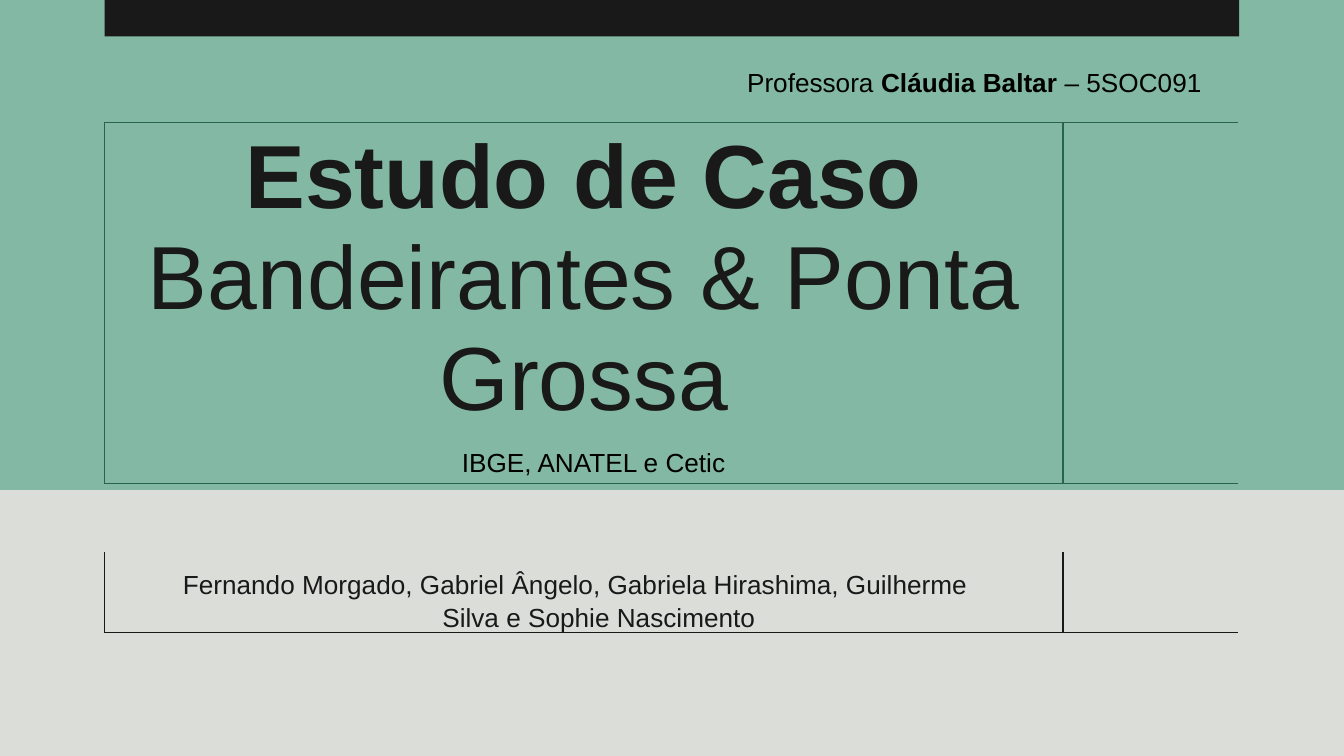
from dataclasses import dataclass

from lxml import etree
from pptx import Presentation
from pptx.dml.color import RGBColor
from pptx.enum.shapes import MSO_CONNECTOR, MSO_SHAPE
from pptx.enum.text import MSO_ANCHOR, PP_ALIGN
from pptx.oxml.ns import qn
from pptx.util import Cm, Pt

RECTANGLE = MSO_SHAPE.RECTANGLE
STRAIGHT = MSO_CONNECTOR.STRAIGHT
LEFT, CENTER = PP_ALIGN.LEFT, PP_ALIGN.CENTER
TOP, MIDDLE = MSO_ANCHOR.TOP, MSO_ANCHOR.MIDDLE

SLIDE_WIDTH, SLIDE_HEIGHT = 25.4, 14.29
FRAME_LEFT, FRAME_DIVIDER, FRAME_RIGHT = 1.98, 20.09, 23.4


@dataclass(frozen=True)
class Theme:
    """Colours, font and type sizes of the slide."""

    background: RGBColor = RGBColor(0xDB, 0xDD, 0xD9)
    panel: RGBColor = RGBColor(0x83, 0xB8, 0xA4)
    ink: RGBColor = RGBColor(0x19, 0x19, 0x19)
    black: RGBColor = RGBColor(0, 0, 0)
    green_line: RGBColor = RGBColor(0x26, 0x64, 0x4F)
    font: str = "Arial"
    title_size: int = 48
    body_size: int = 14
    line_width: float = 0.75


THEME = Theme()


def add_block(slide, left, top, width, height, color):
    """Add a plain filled rectangle."""
    shape = slide.shapes.add_shape(RECTANGLE, Cm(left), Cm(top), Cm(width), Cm(height))
    shape.shadow.inherit = False
    shape.fill.solid()
    shape.fill.fore_color.rgb = color
    shape.line.fill.background()


def add_frame(slide, top, bottom, color, has_top):
    """Add a group of lines forming a frame that is open on the right."""
    group = slide.shapes.add_group_shape()
    lines = [(FRAME_LEFT, y, FRAME_RIGHT, y) for y in ([top, bottom] if has_top else [bottom])]
    lines += [(x, top, x, bottom) for x in (FRAME_LEFT, FRAME_DIVIDER)]
    for ends in lines:
        connector = group.shapes.add_connector(STRAIGHT, *map(Cm, ends))
        connector.line.color.rgb = color
        connector.line.width = Pt(THEME.line_width)
        etree.SubElement(connector._element.spPr, qn("a:effectLst"))


def add_text(slide, box, runs, size, color, align=LEFT, anchor=TOP, inset=0.13, spacing=1.0):
    """Add a one-paragraph text box from (text, bold) runs and return the paragraph."""
    frame = slide.shapes.add_textbox(*map(Cm, box)).text_frame
    frame.word_wrap = True
    frame.vertical_anchor = anchor
    frame.margin_left = frame.margin_right = Cm(0.25)
    frame.margin_top = frame.margin_bottom = Cm(inset)
    paragraph = frame.paragraphs[0]
    paragraph.alignment = align
    paragraph.line_spacing = spacing
    paragraph.font.name = THEME.font
    paragraph.font.size = Pt(size)
    paragraph.font.color.rgb = color
    for text, bold in runs:
        run = paragraph.add_run()
        run.text = text
        run.font.bold = bold
    return paragraph


def set_hanging_indent(paragraph, margin, hanging):
    """Give a paragraph a left margin and a hanging first line."""
    properties = paragraph._p.get_or_add_pPr()
    properties.set("marL", str(Cm(margin)))
    properties.set("indent", str(-Cm(hanging)))


def main():
    """Build the title slide and save it."""
    presentation = Presentation()
    presentation.slide_width, presentation.slide_height = Cm(SLIDE_WIDTH), Cm(SLIDE_HEIGHT)
    slide = presentation.slides.add_slide(presentation.slide_layouts[6])
    slide.background.fill.solid()
    slide.background.fill.fore_color.rgb = THEME.background

    add_block(slide, 0, 0, SLIDE_WIDTH, 9.26, THEME.panel)
    add_block(slide, FRAME_LEFT, 0, 21.44, 0.69, THEME.ink)
    add_text(slide, (2.36, 2.26, 17.35, 6.05),
             [("Estudo de Caso ", True), ("Bandeirantes & Ponta Grossa", False)],
             THEME.title_size, THEME.ink, CENTER, MIDDLE, inset=0.25, spacing=0.94)
    add_frame(slide, 2.31, 9.14, THEME.green_line, has_top=True)
    authors = add_text(
        slide, (2.62, 10.46, 16.13, 1.47),
        [("Fernando Morgado, Gabriel Ângelo, Gabriela Hirashima, Guilherme Silva "
          "e Sophie Nascimento", False)],
        THEME.body_size, THEME.ink, CENTER, inset=0.25, spacing=1.06)
    set_hanging_indent(authors, 1.27, 0.89)
    add_frame(slide, 10.44, 11.96, THEME.ink, has_top=False)
    add_text(slide, (13.87, 1.12, 9.75, 0.86),
             [("Professora ", False), ("Cláudia Baltar ", True), ("– 5SOC091", False)],
             THEME.body_size, THEME.black)
    add_text(slide, (8.48, 8.31, 6.25, 0.86), [("IBGE, ANATEL e Cetic", False)],
             THEME.body_size, THEME.black)
    presentation.save("out.pptx")


if __name__ == "__main__":
    main()
